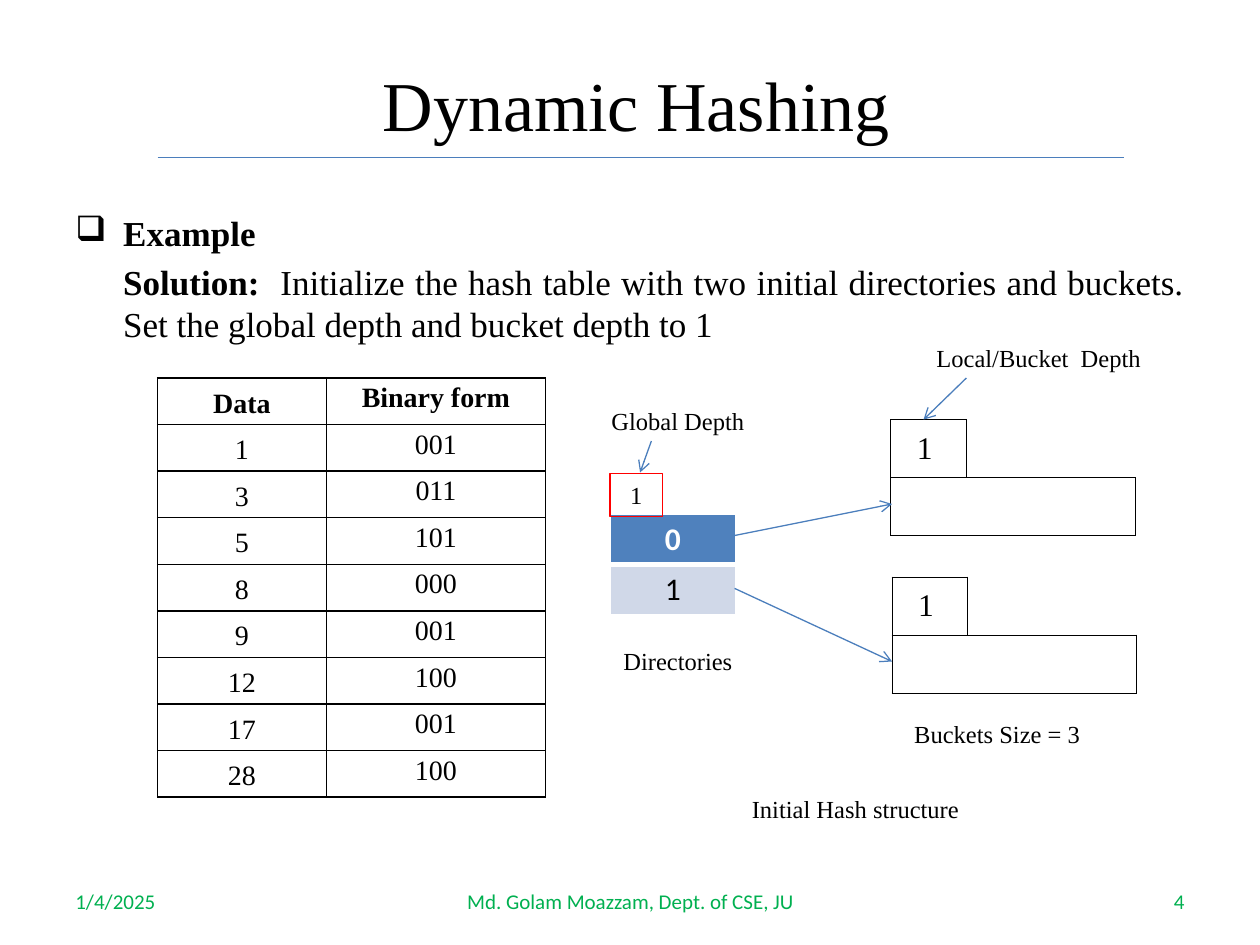
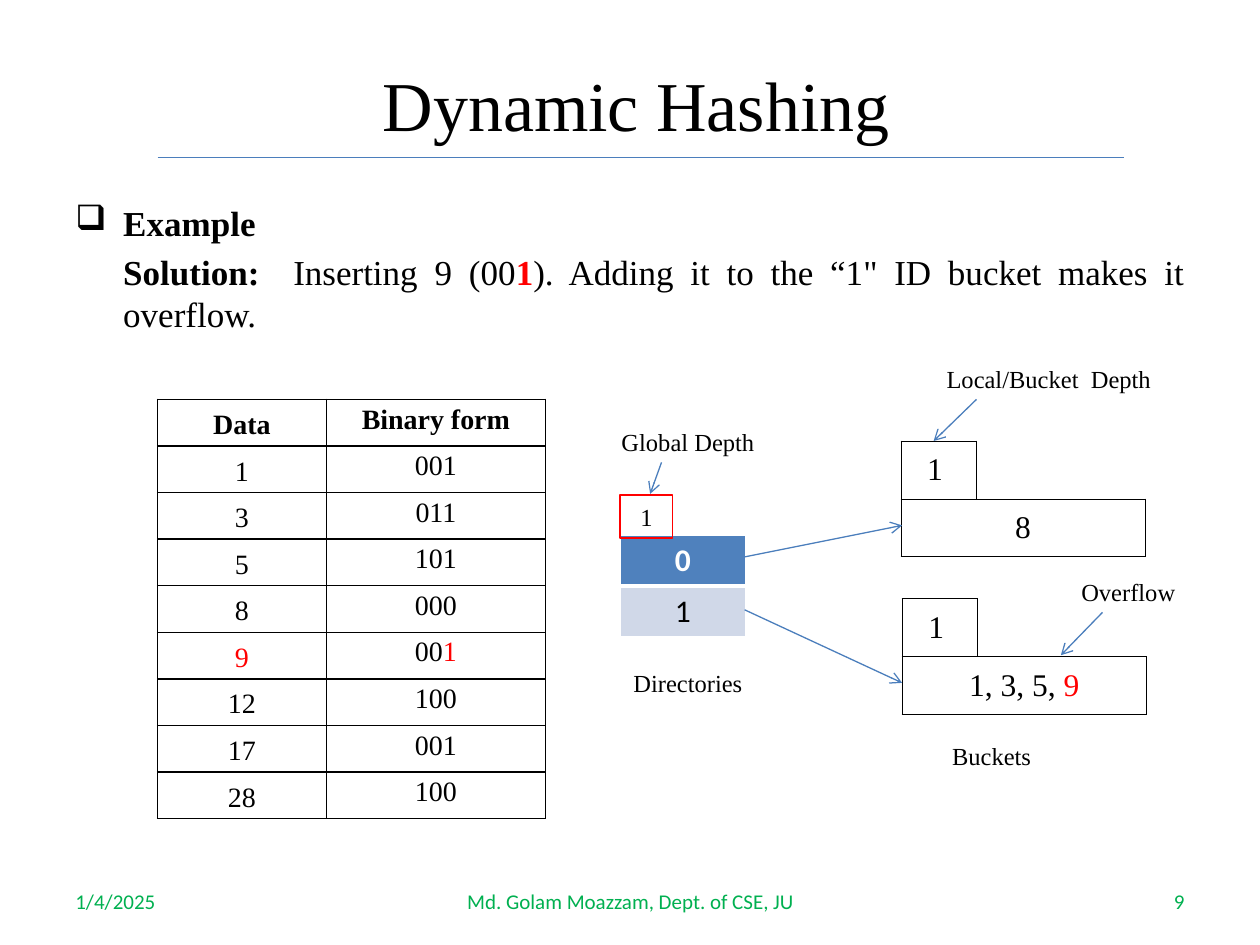
"""Builds two slides that step through a dynamic hashing example."""
from pptx import Presentation
from pptx.dml.color import RGBColor
from pptx.enum.shapes import MSO_CONNECTOR, MSO_SHAPE
from pptx.enum.text import MSO_ANCHOR as Anchor, PP_ALIGN as Align
from pptx.oxml.ns import qn
from pptx.util import Inches, Pt
from lxml.etree import SubElement

COLORS = {
    "text": "000000",
    "paper": "FFFFFF",
    "accent": "FF0000",
    "footer": "00B050",
    "line": "4B7EBC",
    "directory": "4F81BD",
    "directory_light": "D0D8E8",
}
SERIF, SANS = "Times New Roman", "Calibri"
BINARY_FORMS = {
    "1": "001", "3": "011", "5": "101", "8": "000",
    "9": "001", "12": "100", "17": "001", "28": "100",
}
HIGHLIGHT = {"color": "accent"}


def rgb(name):
    return RGBColor.from_string(COLORS[name])


class Board:
    def __init__(self):
        self.deck = Presentation()
        self.deck.slide_width, self.deck.slide_height = Inches(10), Inches(7.5)
        self.slide = None
        self.origin = (0, 0)

    def new_slide(self):
        self.slide = self.deck.slides.add_slide(self.deck.slide_layouts[6])
        self.origin = (0, 0)

    def point(self, x, y):
        return Inches(self.origin[0] + x), Inches(self.origin[1] + y)

    def set_text(self, paragraph, runs, size, color="text", bold=False,
                 font=SERIF, align=Align.CENTER):
        paragraph.alignment = align
        paragraph.font.name, paragraph.font.size = font, Pt(size)
        paragraph.font.bold = bold
        paragraph.font.color.rgb = rgb(color)
        for text, changes in [(runs, {})] if isinstance(runs, str) else runs:
            run = paragraph.add_run()
            run.text = text
            if "color" in changes:
                run.font.color.rgb = rgb(changes["color"])
            if "bold" in changes:
                run.font.bold = changes["bold"]

    def frame(self, left, top, width, height, anchor=Anchor.TOP):
        box = self.slide.shapes.add_textbox(
            *self.point(left, top), Inches(width), Inches(height))
        box.text_frame.word_wrap = True
        box.text_frame.vertical_anchor = anchor
        return box.text_frame

    def label(self, text, left, top, width):
        self.set_text(self.frame(left, top, width, 0.34).paragraphs[0], text, 14)

    def line(self, start, end, arrow=True):
        link = self.slide.shapes.add_connector(
            MSO_CONNECTOR.STRAIGHT, *self.point(*start), *self.point(*end))
        link.line.color.rgb, link.line.width = rgb("line"), Pt(0.75)
        properties = link._element.spPr
        if arrow:
            SubElement(properties.find(qn("a:ln")), qn("a:tailEnd"), type="arrow")
        SubElement(properties, qn("a:effectLst"))

    def table(self, left, top, widths, row_height, row_count):
        height = row_height * row_count
        grid = self.slide.shapes.add_table(
            row_count, len(widths), *self.point(left, top),
            Inches(sum(widths)), Inches(height)).table
        grid.first_row = grid.horz_banding = False
        for column, width in zip(grid.columns, widths):
            column.width = Inches(width)
        for row in grid.rows:
            row.height = Inches(row_height)
        return grid

    def style_cell(self, cell, borders, color="text", fill=None):
        properties = cell._tc.get_or_add_tcPr()
        for side in "LRTB":
            width = borders.get(side, 0)
            edge = SubElement(properties, qn(f"a:ln{side}"), w=str(Pt(width)))
            if width:
                paint = SubElement(edge, qn("a:solidFill"))
                SubElement(paint, qn("a:srgbClr"), val=COLORS[color])
            else:
                SubElement(edge, qn("a:noFill"))
        if fill:
            cell.fill.solid()
            cell.fill.fore_color.rgb = rgb(fill)
        else:
            cell.fill.background()

    def inset(self, cell, side):
        cell.margin_left = cell.margin_right = Inches(side)
        cell.margin_top = cell.margin_bottom = 0

    def title_and_footer(self, title, number):
        heading = self.frame(1.33, 0.38, 7.58, 0.87)
        heading.margin_top, heading.margin_right = Inches(0.11), Inches(0.24)
        self.set_text(heading.paragraphs[0], title, 40)
        self.line((1.25, 1.25), (8.92, 1.25), arrow=False)
        for text, left, width, align in (
                ("1/4/2025", 0.5, 2.33, Align.LEFT),
                ("Md. Golam Moazzam, Dept. of CSE, JU", 3.42, 3.17, Align.CENTER),
                (number, 7.17, 2.33, Align.RIGHT)):
            footer = self.frame(left, 6.95, width, 0.4, Anchor.MIDDLE)
            self.set_text(footer.paragraphs[0], text, 12, "footer", font=SANS,
                          align=align)

    def explanation(self, top, solution):
        body = self.frame(0.5, top, 9, 4.95)
        body.margin_top = Inches(0.1)
        example, answer = body.paragraphs[0], body.add_paragraph()
        answer.space_before = Pt(4)
        for paragraph, indent in ((example, -0.38), (answer, 0)):
            properties = paragraph._p.get_or_add_pPr()
            properties.set("marL", str(Inches(0.38)))
            properties.set("indent", str(Inches(indent)))
        SubElement(example._p.pPr, qn("a:buChar"), char="❑")
        self.set_text(example, "Example", 20, bold=True, align=Align.JUSTIFY)
        self.set_text(answer, [("Solution:  ", {"bold": True})] + solution, 20,
                      align=Align.JUSTIFY)

    def data_table(self, top, inserted):
        rows = [("Data", "Binary form"), *BINARY_FORMS.items()]
        grid = self.table(1.25, top, (1.34, 1.74), 0.37, len(rows))
        for i, (key, binary) in enumerate(rows):
            if key == inserted:
                key = [(key, HIGHLIGHT)]
                binary = [(binary[:-1], {}), (binary[-1], HIGHLIGHT)]
            for j, text in enumerate((key, binary)):
                cell = grid.cell(i, j)
                self.style_cell(cell, dict.fromkeys("LRTB", 1))
                self.inset(cell, 0.07)
                cell.vertical_anchor = Anchor.TOP if j else Anchor.MIDDLE
                paragraph = cell.text_frame.paragraphs[0]
                paragraph.line_spacing = 1.15
                self.set_text(paragraph, text, 16, bold=i == 0)

    def bucket(self, left, top, depth, content):
        grid = self.table(left, top, (0.6, 0.67, 0.67), 0.46, 2)
        sides = (("LRTB", "LB", "B"), ("LRTB", "TB", "RTB"))
        for i, row in enumerate(sides):
            for j, edges in enumerate(row):
                self.style_cell(grid.cell(i, j), dict.fromkeys(edges, 0.5))
        grid.cell(1, 0).merge(grid.cell(1, 2))
        for i, text in enumerate((depth, content)):
            cell = grid.cell(i, 0)
            self.inset(cell, 0)
            cell.vertical_anchor = Anchor.MIDDLE
            if text:
                self.set_text(cell.text_frame.paragraphs[0], text, 18)
        grid.cell(0, 0).margin_right = Inches(0.06)

    def directories(self, left, top):
        grid = self.table(left, top, (1,), 0.4, 2)
        for i, (fill, color, above, below) in enumerate((
                ("directory", "paper", 1, 3), ("directory_light", "text", 3, 1))):
            cell = grid.cell(i, 0)
            borders = {"L": 1, "R": 1, "T": above, "B": below}
            self.style_cell(cell, borders, "paper", fill)
            self.set_text(cell.text_frame.paragraphs[0], str(i), 18, color,
                          bold=i == 0, font=SANS)

    def global_depth(self, depth, left, top):
        tag = self.slide.shapes.add_shape(
            MSO_SHAPE.RECTANGLE, *self.point(left, top), Inches(0.42), Inches(0.34))
        tag.shadow.inherit = False
        tag.fill.background()
        tag.line.color.rgb, tag.line.width = rgb("accent"), Pt(0.75)
        tag.text_frame.vertical_anchor = Anchor.MIDDLE
        self.set_text(tag.text_frame.paragraphs[0], depth, 14)

    def hash_structure(self, contents, caption, caption_width):
        self.bucket(7.07, 3.33, "1", contents[0])
        self.bucket(7.08, 4.58, "1", contents[1])
        self.directories(4.84, 4.08)
        self.global_depth("1", 4.84, 3.76)
        self.label("Global Depth", 4.67, 3.17, 1.42)
        self.label("Directories", 4.67, 5.08, 1.42)
        self.label("Local/Bucket  Depth", 7.33, 2.67, 1.83)
        self.label(caption, 7.08, 5.66, caption_width)
        for start, end in (((7.67, 3), (7.33, 3.33)), ((5.17, 3.5), (5.08, 3.75)),
                           ((5.83, 4.25), (7.08, 4)), ((5.83, 4.67), (7.08, 5.25))):
            self.line(start, end)


def main():
    board = Board()

    board.new_slide()
    board.title_and_footer("Dynamic Hashing", "4")
    board.explanation(1.58, [
        ("Initialize the hash table with two initial directories and buckets. "
         "Set the global depth and bucket depth to 1", {})])
    board.data_table(3, None)
    board.hash_structure(("", ""), "Buckets Size = 3", 1.67)
    board.label("Initial Hash structure", 5.08, 6.25, 3.42)

    board.new_slide()
    board.title_and_footer("Dynamic Hashing", "9")
    board.explanation(1.5, [
        ("Inserting 9 (00", {}), ("1", {"color": "accent", "bold": True}),
        ("). Adding it to the “1\" ID bucket makes it overflow.", {})])
    board.data_table(3.17, "9")
    board.origin = (0.08, 0.17)
    board.hash_structure(("8", [("1, 3, 5, ", {}), ("9", HIGHLIGHT)]), "Buckets", 1.42)
    board.label("Overflow", 8.25, 4.36, 1.25)
    board.line((8.67, 4.69), (8.34, 5.03))

    board.deck.save("out.pptx")


if __name__ == "__main__":
    main()
